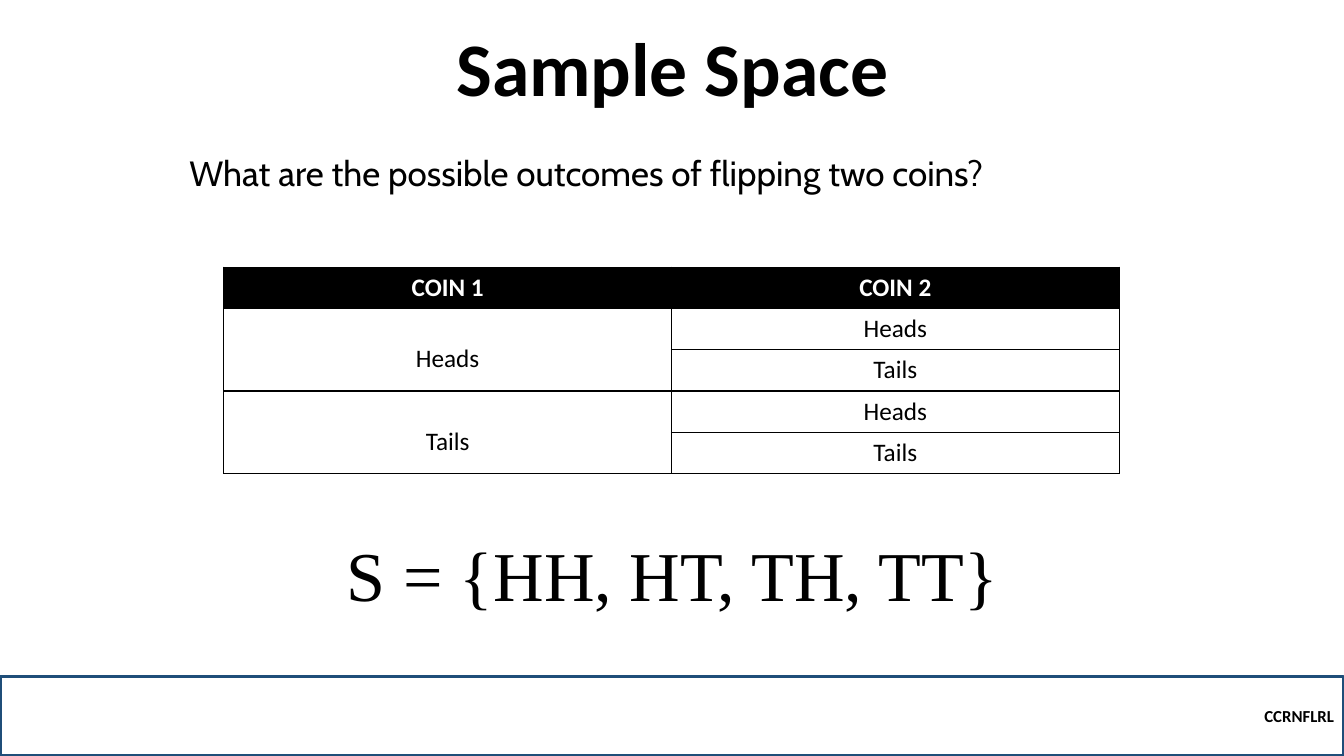
from dataclasses import dataclass

from lxml.etree import SubElement
from pptx import Presentation
from pptx.dml.color import RGBColor
from pptx.enum.shapes import MSO_SHAPE
from pptx.enum.text import MSO_ANCHOR, PP_ALIGN
from pptx.oxml.ns import qn
from pptx.slide import Slide
from pptx.table import _Cell
from pptx.text.text import TextFrame
from pptx.util import Inches, Pt

BLACK = "000000"
WHITE = "FFFFFF"
NAVY = "1F4E79"
ROW = 0.41
COL = 4.44


@dataclass
class Label:
    text: str
    box: tuple[float, float, float, float]
    font: str
    size: float
    bold: bool = False
    align: PP_ALIGN = PP_ALIGN.CENTER
    anchor: MSO_ANCHOR = MSO_ANCHOR.TOP
    lead: float = 1.0


@dataclass
class Entry:
    text: str
    row: int
    col: int
    span: int = 1


LABELS = [
    Label("What are the possible outcomes of flipping two coins?",
          (1.78, 1.45, 9.76, 2.96), "Cabin", 25, align=PP_ALIGN.LEFT),
    Label("Sample Space", (1.67, 0.38, 10, 0.79), "Calibri", 54, bold=True,
          anchor=MSO_ANCHOR.BOTTOM, lead=0.9),
    Label("S = {HH, HT, TH, TT}", (3.33, 5.22, 6.68, 0.94),
          "Times New Roman", 50),
]

SIDES = ["Heads", "Tails"]
ENTRIES = [Entry(f"COIN {col + 1}", 0, col) for col in range(2)]
for i, first in enumerate(SIDES):
    ENTRIES.append(Entry(first, 1 + 2 * i, 0, 2))
    ENTRIES += [Entry(second, 1 + 2 * i + j, 1) for j, second in enumerate(SIDES)]


def color(code: str) -> RGBColor:
    return RGBColor.from_string(code)


def write(frame: TextFrame, text: str, *, font: str = "Calibri", size: float = 18,
          bold: bool = False, ink: str = BLACK, lead: float = 1.0,
          align: PP_ALIGN = PP_ALIGN.CENTER) -> None:
    frame.word_wrap = True
    para = frame.paragraphs[0]
    para.alignment = align
    para.line_spacing = lead
    run = para.add_run()
    run.text = text
    run.font.name = font
    run.font.size = Pt(size)
    run.font.bold = bold
    run.font.color.rgb = color(ink)


def add_label(slide: Slide, label: Label) -> None:
    frame = slide.shapes.add_textbox(*map(Inches, label.box)).text_frame
    frame.vertical_anchor = label.anchor
    write(frame, label.text, font=label.font, size=label.size, bold=label.bold,
          align=label.align, lead=label.lead)


def add_footer(slide: Slide) -> None:
    bar = slide.shapes.add_shape(MSO_SHAPE.RECTANGLE, *map(Inches, (0, 6.71, 13.33, 0.79)))
    bar.shadow.inherit = False
    bar.fill.background()
    bar.line.color.rgb = color(NAVY)
    bar.line.width = Pt(2.25)
    bar.text_frame.vertical_anchor = MSO_ANCHOR.MIDDLE
    write(bar.text_frame, "CCRNFLRL", size=12, bold=True, align=PP_ALIGN.RIGHT)


def border(cell: _Cell) -> None:
    props = cell._tc.get_or_add_tcPr()
    for i, side in enumerate("LRTB"):
        line = SubElement(props, qn(f"a:ln{side}"), w=str(Pt(1)))
        fill = SubElement(line, qn("a:solidFill"))
        SubElement(fill, qn("a:srgbClr"), val=BLACK)
        props.insert(i, line)


def add_grid(slide: Slide) -> None:
    shape = slide.shapes.add_table(5, 2, *map(Inches, (2.22, 2.65, 2 * COL, 5 * ROW)))
    table = shape.table
    for col in table.columns:
        col.width = Inches(COL)
    for i, row in enumerate(table.rows):
        row.height = Inches(ROW)
        for cell in row.cells:
            cell.fill.solid()
            cell.fill.fore_color.rgb = color(WHITE if i else BLACK)
            border(cell)
    for entry in ENTRIES:
        cell = table.cell(entry.row, entry.col)
        if entry.span > 1:
            cell.merge(table.cell(entry.row + entry.span - 1, entry.col))
            cell.margin_top = Inches(0.35)
        head = entry.row == 0
        write(cell.text_frame, entry.text, bold=head, ink=WHITE if head else BLACK)


def main() -> None:
    deck = Presentation()
    deck.slide_width = Inches(13.33)
    deck.slide_height = Inches(7.5)
    slide = deck.slides.add_slide(deck.slide_layouts[6])
    add_footer(slide)
    for label in LABELS[:2]:
        add_label(slide, label)
    add_grid(slide)
    add_label(slide, LABELS[2])
    deck.save("out.pptx")


if __name__ == "__main__":
    main()
